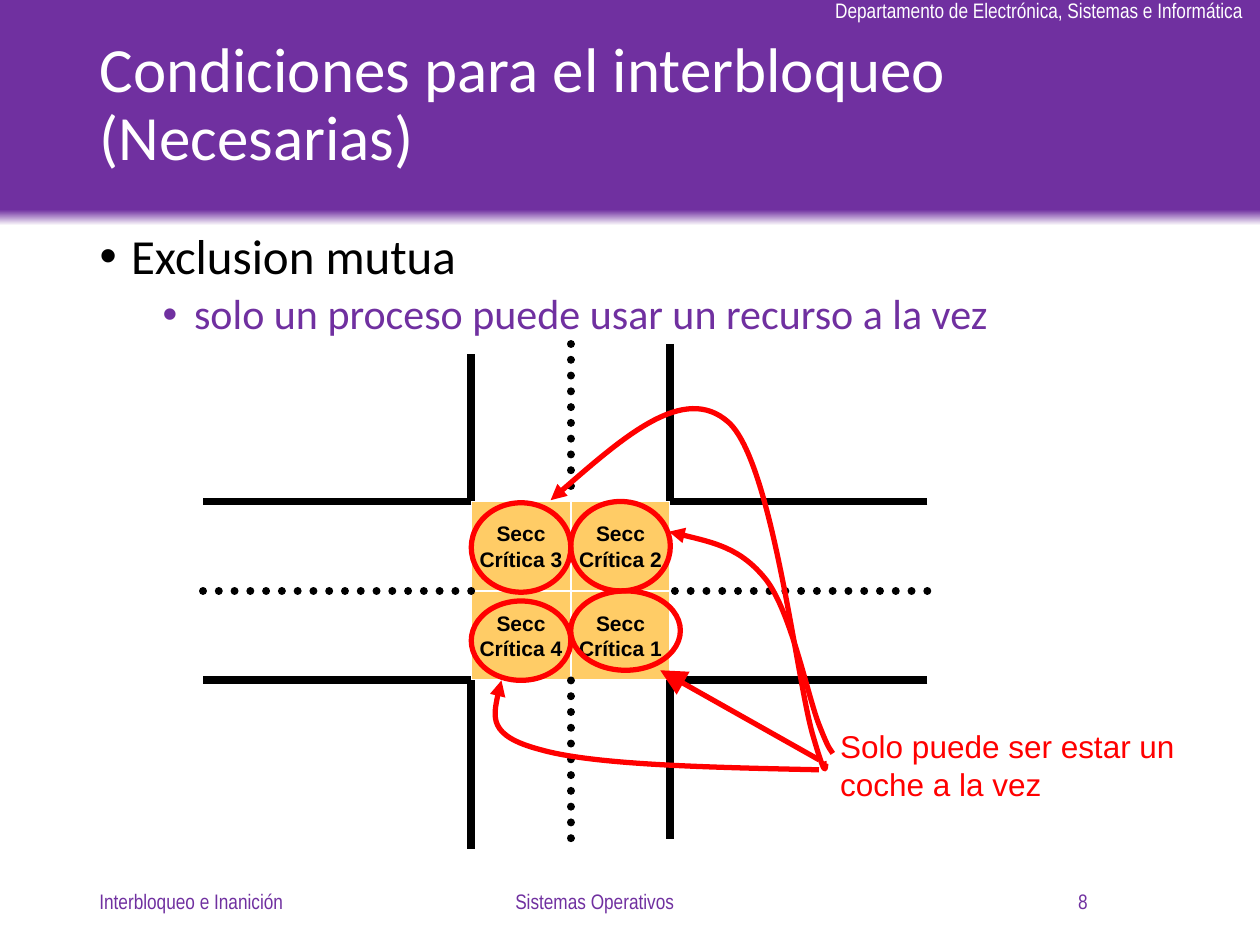
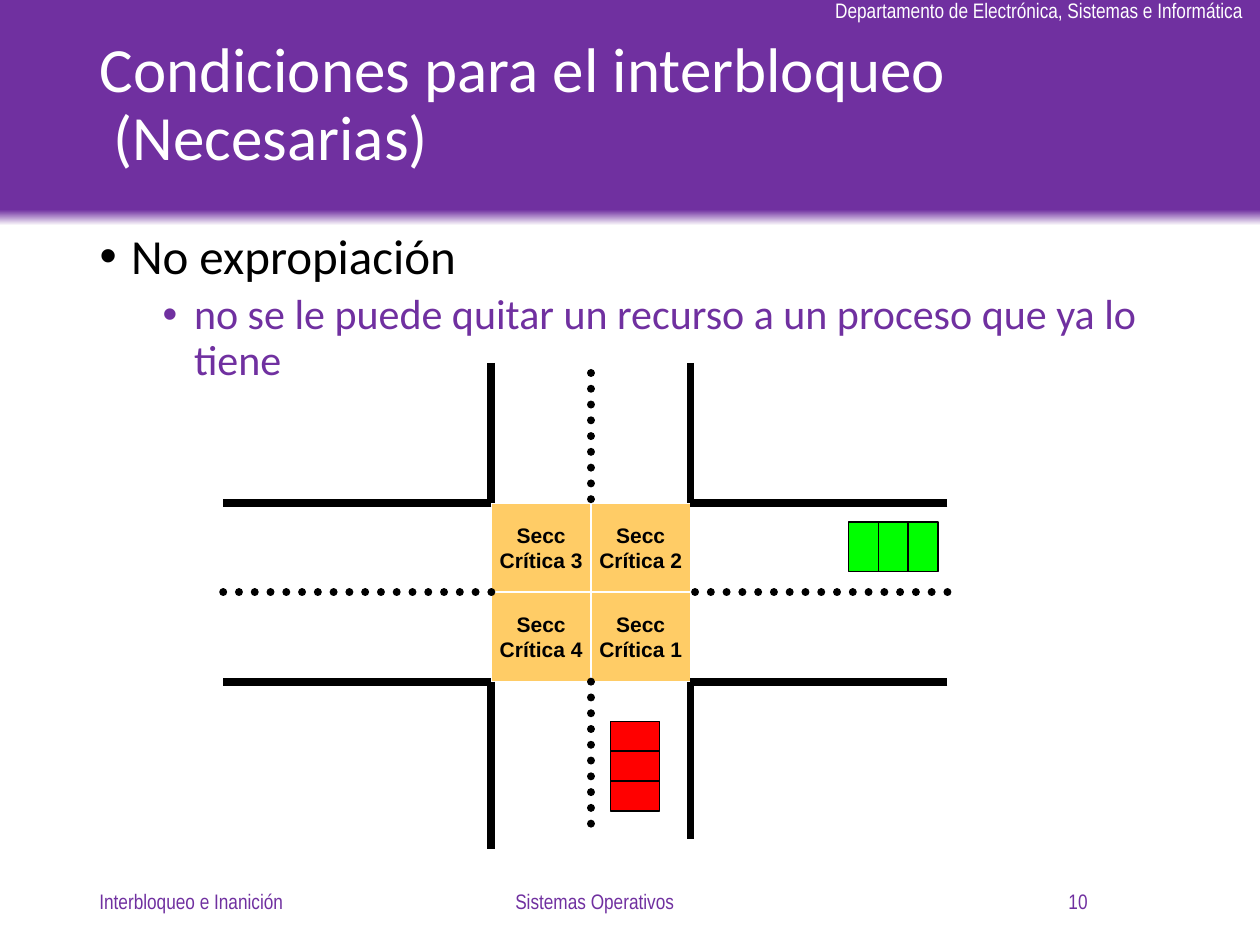
from copy import deepcopy
from dataclasses import dataclass

from pptx import Presentation
from pptx.dml.color import RGBColor as Rgb
from pptx.enum.dml import MSO_LINE
from pptx.enum.shapes import MSO_CONNECTOR, MSO_SHAPE as Shape
from pptx.enum.text import MSO_ANCHOR as Anchor, MSO_AUTO_SIZE, PP_ALIGN as Align
from pptx.oxml.ns import qn
from pptx.oxml.xmlchemy import OxmlElement
from pptx.util import Inches, Pt


@dataclass(frozen=True)
class Theme:
    purple: Rgb = Rgb(0x70, 0x30, 0xA0)
    white: Rgb = Rgb(0xFF, 0xFF, 0xFF)
    black: Rgb = Rgb(0, 0, 0)
    red: Rgb = Rgb(0xFF, 0, 0)
    green: Rgb = Rgb(0, 0xFF, 0)
    amber: Rgb = Rgb(0xFF, 0xCC, 0x66)
    heading_font: str = "Calibri"
    label_font: str = "Arial"
    footer_font: str = "Arial Narrow"
    title_size: int = 36
    bullet_sizes: tuple = (28, 24)
    note_size: int = 18
    small_size: int = 12
    road_width: float = 4.5
    mark_width: float = 3
    thin_width: float = 1


THEME = Theme()
CELL_W, CELL_H = 0.79, 0.71
CAR_W, CAR_L = 0.39, 0.71
# Section number by (column, row) of the crossing
SECTIONS = {(1, 1): 1, (0, 0): 3, (1, 0): 2, (0, 1): 4}


# --- Text ---
def add_span(para, text, size, font, color, bold=None):
    span = para.add_run()
    span.text = text
    span.font.size = Pt(size)
    span.font.name = font
    span.font.bold = bold
    span.font.color.rgb = color


def add_label(slide, place, text, size, font, color, align=Align.LEFT,
              anchor=Anchor.TOP, wrap=True):
    box = slide.shapes.add_textbox(*map(Inches, place))
    box.text_frame.word_wrap = wrap
    box.text_frame.vertical_anchor = anchor
    para = box.text_frame.paragraphs[0]
    para.alignment = align
    add_span(para, text, size, font, color)
    return box


def place_holder(holder, place, anchor):
    holder.left, holder.top, holder.width, holder.height = map(Inches, place)
    frame = holder.text_frame
    frame.auto_size = MSO_AUTO_SIZE.NONE
    frame.vertical_anchor = anchor
    return frame


def fill_title(slide, lines):
    frame = place_holder(slide.shapes.title, (0.69, 0.15, 8.62, 1.39), Anchor.MIDDLE)
    para = frame.paragraphs[0]
    para.alignment = Align.LEFT
    para.line_spacing = 0.9
    for number, line in enumerate(lines):
        if number:
            para.add_line_break()
        add_span(para, line, THEME.title_size, THEME.heading_font, THEME.white)


def fill_bullets(slide, texts):
    frame = place_holder(slide.placeholders[1], (0.69, 1.79, 8.62, 4.97), Anchor.TOP)
    colors = (THEME.black, THEME.purple)
    for level, text in enumerate(texts):
        para = frame.add_paragraph() if level else frame.paragraphs[0]
        para.level = level
        para.line_spacing = 0.9
        para.space_before = Pt(10 - 5 * level)
        props = para._p.get_or_add_pPr()
        props.set("marL", str(Inches(0.25 + 0.5 * level)))
        props.set("indent", str(Inches(-0.25)))
        bullet = OxmlElement("a:buChar")
        bullet.set("char", "•")
        props.append(bullet)
        add_span(para, text, THEME.bullet_sizes[level], THEME.heading_font, colors[level])


# --- Shapes and lines ---
def set_line(shape, color, width):
    shape.line.color.rgb = color
    shape.line.width = Pt(width)


def add_block(slide, kind, place, fill, line, width):
    block = slide.shapes.add_shape(kind, *map(Inches, place))
    block.shadow.inherit = False
    if fill is None:
        block.fill.background()
    else:
        block.fill.solid()
        block.fill.fore_color.rgb = fill
    set_line(block, line, width)
    return block


def add_arrowhead(shape, size):
    head = OxmlElement("a:tailEnd")
    for name, value in (("type", "triangle"), ("w", size), ("len", size)):
        head.set(name, value)
    shape._element.spPr.find(qn("a:ln")).append(head)


def add_line(slide, start, end, color, width, dotted=False):
    line = slide.shapes.add_connector(MSO_CONNECTOR.STRAIGHT, *map(Inches, start + end))
    set_line(line, color, width)
    props = line._element.spPr
    if dotted:
        line.line.dash_style = MSO_LINE.ROUND_DOT
        props.find(qn("a:ln")).set("cap", "rnd")
    props.append(OxmlElement("a:effectLst"))
    return line


def add_curved_arrow(slide, points):
    """Draw a chain of Bezier curves: a start, then three points per curve."""
    start, *rest = [tuple(map(Inches, point)) for point in points]
    builder = slide.shapes.build_freeform(*start)
    builder.add_line_segments(rest, close=False)
    arrow = builder.convert_to_shape()
    arrow.shadow.inherit = False
    arrow.fill.background()
    set_line(arrow, THEME.red, THEME.mark_width)
    add_arrowhead(arrow, "med")
    # Turn each three straight segments into one curve
    segments = list(arrow._element.iter(qn("a:lnTo")))
    for first in range(0, len(segments), 3):
        curve = OxmlElement("a:cubicBezTo")
        segments[first].addprevious(curve)
        for segment in segments[first:first + 3]:
            curve.append(segment[0])
            segment.getparent().remove(segment)


# --- Parts shared by the slides ---
def move_to_layout(layout, shape, position):
    shape._element.nvSpPr.cNvPr.set("id", str(100 + position))
    layout.shapes._spTree.insert(position, shape._element)


def decorate_layout(layout, slide):
    """Put the purple band and the department name behind every slide."""
    band = slide.shapes.add_shape(Shape.RECTANGLE, 0, 0, Inches(10), Inches(1.79))
    band.shadow.inherit = False
    band.line.fill.background()
    band.fill.gradient()
    band.fill.gradient_angle = 90
    edge, body = band.fill.gradient_stops
    edge.position, body.position = 0, 0.07
    edge.color.rgb, body.color.rgb = THEME.white, THEME.purple
    stops = band._element.spPr.find(".//" + qn("a:gsLst"))
    last = deepcopy(stops[-1])
    last.set("pos", "100000")
    stops.append(last)
    department = add_label(slide, (6.53, -0.07, 3.48, 0.3),
                           "Departamento de Electrónica, Sistemas e Informática",
                           THEME.small_size, THEME.footer_font, THEME.white, wrap=False)
    move_to_layout(layout, band, 2)
    move_to_layout(layout, department, 3)


def add_footers(slide, number):
    footers = ((0.69, 2.25, "Interbloqueo e Inanición", Align.LEFT),
               (3.03, 3.38, "Sistemas Operativos", Align.CENTER),
               (6.48, 2.25, number, Align.RIGHT))
    for left, width, text, align in footers:
        add_label(slide, (left, 6.95, width, 0.4), text, THEME.small_size,
                  THEME.footer_font, THEME.purple, align, Anchor.MIDDLE)


# --- Road crossing ---
def add_crossing(slide, center_x, center_y, road_tops):
    """Draw four sections and their roads; road_tops is left, middle, right."""
    left, right = center_x - CELL_W, center_x + CELL_W
    top, bottom = center_y - CELL_H, center_y + CELL_H
    for (column, row), number in SECTIONS.items():
        place = (left + column * CELL_W, top + row * CELL_H, CELL_W, CELL_H)
        cell = add_block(slide, Shape.RECTANGLE, place, THEME.amber, THEME.white,
                         THEME.thin_width)
        frame = cell.text_frame
        frame.word_wrap = False
        frame.vertical_anchor = Anchor.MIDDLE
        for para, text in ((frame.paragraphs[0], "Secc"),
                           (frame.add_paragraph(), f"Crítica {number}")):
            para.alignment = Align.CENTER
            add_span(para, text, THEME.small_size, THEME.label_font, THEME.black, True)

    # Roadsides are solid, lane dividers in the middle are dotted
    for x, road_top, road_bottom in zip((left, center_x, right), road_tops,
                                        (6.74, 6.66, 6.66)):
        dotted = x == center_x
        add_line(slide, (x, road_top), (x, top), THEME.black, THEME.road_width, dotted)
        add_line(slide, (x, bottom), (x, road_bottom), THEME.black, THEME.road_width, dotted)
    for y in (top, center_y, bottom):
        for start, end in ((left, center_x - 2.92), (center_x + 2.83, right)):
            add_line(slide, (start, y), (end, y), THEME.black, THEME.road_width,
                     y == center_y)


def add_car(slide, center_x, center_y, color, rotation=0):
    for length in (CAR_L, CAR_L / 3):
        place = (center_x - CAR_W / 2, center_y - length / 2, CAR_W, length)
        part = add_block(slide, Shape.RECTANGLE, place, color, THEME.black,
                         THEME.thin_width)
        part.rotation = rotation


def add_occupancy_marks(slide):
    """Ring the sections and point at them from the note."""
    for place in ((4.53, 4.69, 0.87, 0.63), (4.53, 3.98, 0.79, 0.71),
                  (3.74, 4.77, 0.79, 0.63), (3.74, 3.99, 0.79, 0.71)):
        add_block(slide, Shape.OVAL, place, None, THEME.red, THEME.mark_width)
    arrow = add_line(slide, (6.5, 6.03), (5.24, 5.32), THEME.red, THEME.mark_width)
    add_arrowhead(arrow, "lg")
    add_label(slide, (6.57, 5.72, 2.99, 0.7), "Solo puede ser estar un coche a la vez",
              THEME.note_size, THEME.label_font, THEME.red)
    curves = (
        ((6.5, 6.11), (5.6, 6.09), (4.71, 6.07), (4.29, 5.95),
         (3.87, 5.84), (3.92, 5.62), (3.98, 5.4)),
        ((6.61, 5.98), (6.59, 5.94), (6.59, 5.98), (6.5, 5.75), (6.41, 5.52),
         (6.28, 4.86), (6.08, 4.6), (5.88, 4.35), (5.6, 4.29), (5.31, 4.22)),
        ((6.56, 6.06), (6.54, 6.03), (6.58, 6.28), (6.45, 5.83), (6.32, 5.38),
         (6.13, 3.66), (5.78, 3.35), (5.43, 3.04), (4.9, 3.51), (4.37, 3.97)),
    )
    for points in curves:
        add_curved_arrow(slide, points)


def add_page(deck, title_lines, bullets, number):
    page = deck.slides.add_slide(deck.slide_layouts[1])
    fill_title(page, title_lines)
    fill_bullets(page, bullets)
    add_footers(page, number)
    return page


def main():
    deck = Presentation()
    deck.slide_width, deck.slide_height = Inches(10), Inches(7.5)

    # Mutual exclusion
    page = add_page(deck, ("Condiciones para el interbloqueo", "(Necesarias)"),
                    ("Exclusion mutua", "solo un proceso puede usar un recurso a la vez"), "8")
    decorate_layout(deck.slide_layouts[1], page)
    add_crossing(page, 4.53, 4.69, (2.81, 2.73, 2.73))
    add_occupancy_marks(page)

    # No preemption
    page = add_page(deck, ("Condiciones para el interbloqueo", " (Necesarias)"),
                    ("No expropiación",
                     "no se le puede quitar un recurso a un proceso que ya lo tiene"), "10")
    add_crossing(page, 4.69, 4.7, (2.88, 2.96, 2.88))
    add_car(page, 5.04, 6.08, THEME.red)
    add_car(page, 7.09, 4.34, THEME.green, 270)

    deck.save("out.pptx")


if __name__ == "__main__":
    main()
